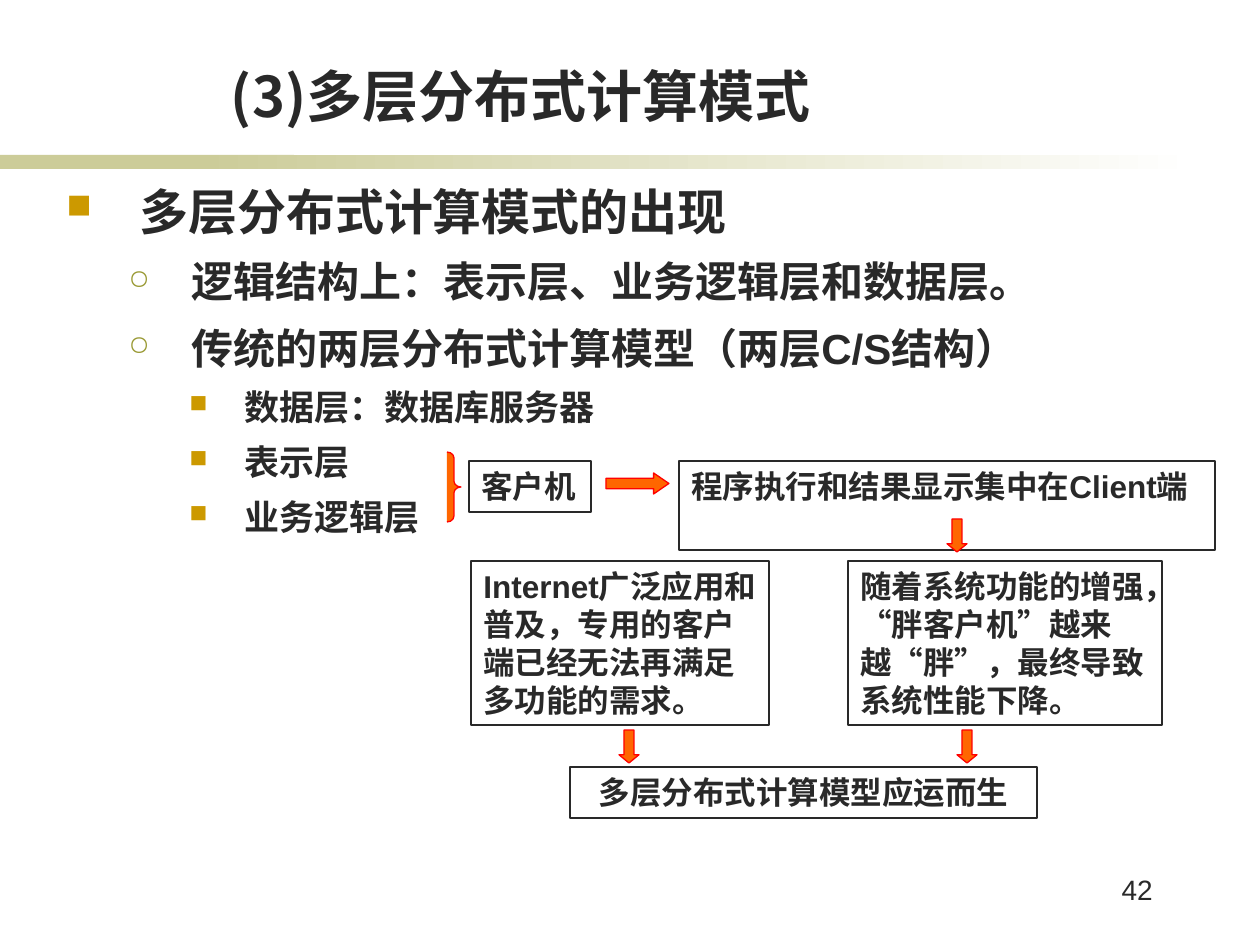
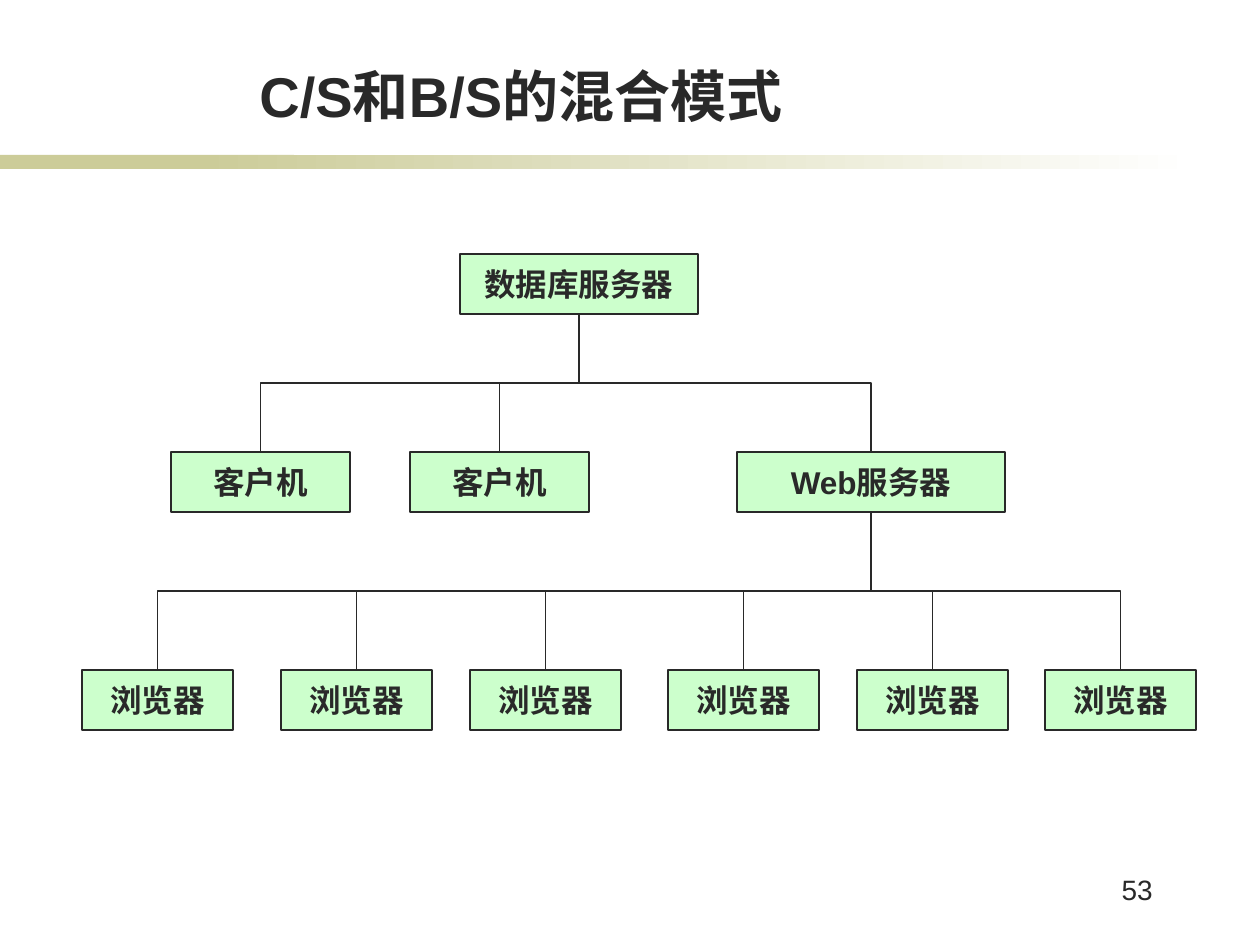
from lxml import etree
from pptx import Presentation, util as u
from pptx.dml.color import RGBColor
from pptx.enum import shapes, text
from pptx.oxml import ns

INK = RGBColor(0x29, 0x29, 0x29)
OLIVE = RGBColor(0xCC, 0xCC, 0x99)
WHITE = RGBColor(0xFF, 0xFF, 0xFF)
ORANGE = RGBColor(0xFF, 0x66, 0x00)
RED = RGBColor(0xFF, 0x00, 0x00)
GREEN = RGBColor(0xCC, 0xFF, 0xCC)
GOLD = RGBColor(0xCC, 0x99, 0x00)
MOSS = RGBColor(0x99, 0x99, 0x33)

LATIN = "Arial"
CJK = "Noto Sans CJK SC"
PX_PER_INCH = 126
LEFT, CENTER, RIGHT = text.PP_ALIGN.LEFT, text.PP_ALIGN.CENTER, text.PP_ALIGN.RIGHT
TOP, MIDDLE, BOTTOM = text.MSO_ANCHOR.TOP, text.MSO_ANCHOR.MIDDLE, text.MSO_ANCHOR.BOTTOM
KIND = shapes.MSO_SHAPE

TITLE_BOX = (134, 55, 774, 80)
NUMBER_BOX = (1037, 866, 128, 63)
BODY_BOX = (54, 175, 1121, 486)

LEVELS = [
    dict(size=28, before=7, margin=73, hang=73, bullet="■", color=GOLD, percent=70),
    dict(size=24, before=9, margin=125, hang=63, bullet="○", color=MOSS, percent=65),
    dict(size=20, before=7.5, margin=178, hang=55, bullet="■", color=GOLD, percent=70),
]

MULTITIER_TITLE = [("(3)", CJK), ("多层分布式计算模式", LATIN)]
OUTLINE = [
    (0, [("多层", CJK), ("分布式计算", LATIN), ("模式的出现", CJK)]),
    (1, [("逻辑结构上：表示层、业务逻辑层和数据层。", LATIN)]),
    (1, [("传统的两层分布式计算模型（两层C/S结构）", LATIN)]),
    (2, [("数据层：数据库服务器", LATIN)]),
    (2, [("表示层", LATIN)]),
    (2, [("业务逻辑层", LATIN)]),
]
NOTES = [
    ("客户机", (469, 461, 122, 51), LEFT),
    ("程序执行和结果显示集中在Client端", (679, 461, 536, 89), LEFT),
    ("随着系统功能的增强，“胖客户机”越来越“胖”，最终导致系统性能下降。",
     (848, 561, 314, 164), LEFT),
    ("Internet广泛应用和普及，专用的客户端已经无法再满足多功能的需求。",
     (471, 561, 298, 164), LEFT),
    ("多层分布式计算模型应运而生", (570, 767, 467, 51), CENTER),
]
BRACE = (447, 452, 14, 70)
RIGHT_ARROW = (606, 473, 63, 21)
DOWN_ARROWS = [(947, 519), (619, 730), (957, 730)]
DOWN_ARROW_SIZE = (20, 33)

HYBRID_TITLE = [("C/S和B/S的混合模式", LATIN)]
NODE_HEIGHT = 60
DATABASE = ("数据库服务器", 460, 254, 238)
WEB_SERVER = ("Web服务器", 737, 452, 268)
CLIENTS = [("客户机", left, 452, 179) for left in (171, 410)]
BROWSERS = [("浏览器", left, 670, 151) for left in (82, 281, 470, 668, 857, 1045)]


def px(length):
    return u.Inches(length / PX_PER_INCH)


def place(box):
    return [px(length) for length in box]


def write(paragraph, runs, size, bold=True, align=LEFT):
    paragraph.alignment = align
    font = paragraph.font
    font.size, font.bold, font.color.rgb = u.Pt(size), bold, INK
    names = {name for _, name in runs}
    if len(names) == 1:
        font.name = names.pop()
    for words, name in runs:
        run = paragraph.add_run()
        run.text = words
        if font.name is None:
            run.font.name = name


def add_text(slide, box, runs, size, bold=True, align=LEFT, anchor=TOP):
    frame = slide.shapes.add_textbox(*place(box)).text_frame
    frame.word_wrap = True
    frame.vertical_anchor = anchor
    write(frame.paragraphs[0], runs, size, bold, align)


def add_shape(slide, kind, box, fill=None, line=None, adjustments=()):
    shape = slide.shapes.add_shape(kind, *place(box))
    shape.shadow.inherit = False
    if fill is None:
        shape.fill.background()
    else:
        shape.fill.solid()
        shape.fill.fore_color.rgb = fill
    if line is None:
        shape.line.fill.background()
    else:
        shape.line.color.rgb = line
        shape.line.width = u.Pt(0.75)
    for index, value in enumerate(adjustments):
        shape.adjustments[index] = value
    return shape


def add_box(slide, words, box, align, anchor=TOP, fill=None, wrap=True):
    shape = add_shape(slide, KIND.RECTANGLE, box, fill, INK)
    frame = shape.text_frame
    frame.word_wrap = wrap
    frame.vertical_anchor = anchor
    write(frame.paragraphs[0], [(words, LATIN)], 18, align=align)
    return shape


def add_base(presentation, title, number):
    slide = presentation.slides.add_slide(presentation.slide_layouts[6])
    add_shape(slide, KIND.RECTANGLE, (0, 155, 294, 14), OLIVE)
    fade = add_shape(slide, KIND.RECTANGLE, (199, 155, 998, 14), OLIVE)
    fade.fill.gradient()
    fade.fill.gradient_angle = 0
    for stop, color in zip(fade.fill.gradient_stops, (OLIVE, WHITE)):
        stop.color.rgb = color
    add_text(slide, NUMBER_BOX, [(str(number), LATIN)], 16, bold=False, align=RIGHT)
    add_text(slide, TITLE_BOX, title, 32, align=CENTER, anchor=BOTTOM)
    return slide


def set_bullet(paragraph, level):
    properties = paragraph._p.get_or_add_pPr()
    properties.set("marL", str(px(level["margin"])))
    properties.set("indent", str(-px(level["hang"])))
    color = etree.SubElement(properties, ns.qn("a:buClr"))
    etree.SubElement(color, ns.qn("a:srgbClr"), val=str(level["color"]))
    etree.SubElement(properties, ns.qn("a:buSzPct"), val=str(level["percent"] * 1000))
    etree.SubElement(properties, ns.qn("a:buChar"), char=level["bullet"])


def add_outline(slide):
    frame = slide.shapes.add_textbox(*place(BODY_BOX)).text_frame
    frame.word_wrap = True
    for index, (depth, runs) in enumerate(OUTLINE):
        paragraph = frame.add_paragraph() if index else frame.paragraphs[0]
        level = LEVELS[depth]
        paragraph.level = depth
        set_bullet(paragraph, level)
        paragraph.space_before = u.Pt(level["before"])
        write(paragraph, runs, level["size"])


def add_node(slide, node):
    words, left, top, width = node
    return add_box(slide, words, (left, top, width, NODE_HEIGHT), CENTER, MIDDLE, GREEN, False)


def add_branch(slide, parent, child):
    start_x, start_y = parent.left + parent.width // 2, parent.top + parent.height
    end_x, end_y = child.left + child.width // 2, child.top
    connector = slide.shapes.add_connector(
        shapes.MSO_CONNECTOR.ELBOW, start_x, start_y, end_x, end_y)
    connector.begin_connect(parent, 2)
    connector.end_connect(child, 0)
    connector.line.color.rgb = INK
    connector.line.width = u.Pt(0.75)
    properties = connector._element.spPr
    etree.SubElement(properties, ns.qn("a:effectLst"))
    drop, shift = end_y - start_y, abs(end_x - start_x)
    connector.left = (start_x + end_x - drop) // 2
    connector.top = (start_y + end_y - shift) // 2
    connector.width, connector.height = drop, shift
    rightward = end_x > start_x
    frame = properties.find(ns.qn("a:xfrm"))
    frame.set("rot", str((270 if rightward else 90) * 60000))
    frame.set("flipH", "1" if rightward else "0")
    frame.set("flipV", "0")


def build_multitier(presentation):
    slide = add_base(presentation, MULTITIER_TITLE, 42)
    add_outline(slide)
    add_shape(slide, KIND.RIGHT_BRACE, BRACE, ORANGE, RED, (0.42, 0.5))
    for words, box, align in NOTES:
        add_box(slide, words, box, align)
    add_shape(slide, KIND.RIGHT_ARROW, RIGHT_ARROW, ORANGE, RED, (0.5, 0.73))
    for corner in DOWN_ARROWS:
        add_shape(slide, KIND.DOWN_ARROW, corner + DOWN_ARROW_SIZE, ORANGE, RED, (0.5, 0.41))


def build_hybrid(presentation):
    slide = add_base(presentation, HYBRID_TITLE, 53)
    database = add_node(slide, DATABASE)
    clients = [add_node(slide, node) for node in CLIENTS]
    web_server = add_node(slide, WEB_SERVER)
    browsers = [add_node(slide, node) for node in BROWSERS]
    for parent, children in ((database, clients + [web_server]), (web_server, browsers)):
        for child in children:
            add_branch(slide, parent, child)


def main():
    presentation = Presentation()
    presentation.slide_width, presentation.slide_height = u.Inches(10), u.Inches(7.5)
    build_multitier(presentation)
    build_hybrid(presentation)
    presentation.save("out.pptx")


if __name__ == "__main__":
    main()
